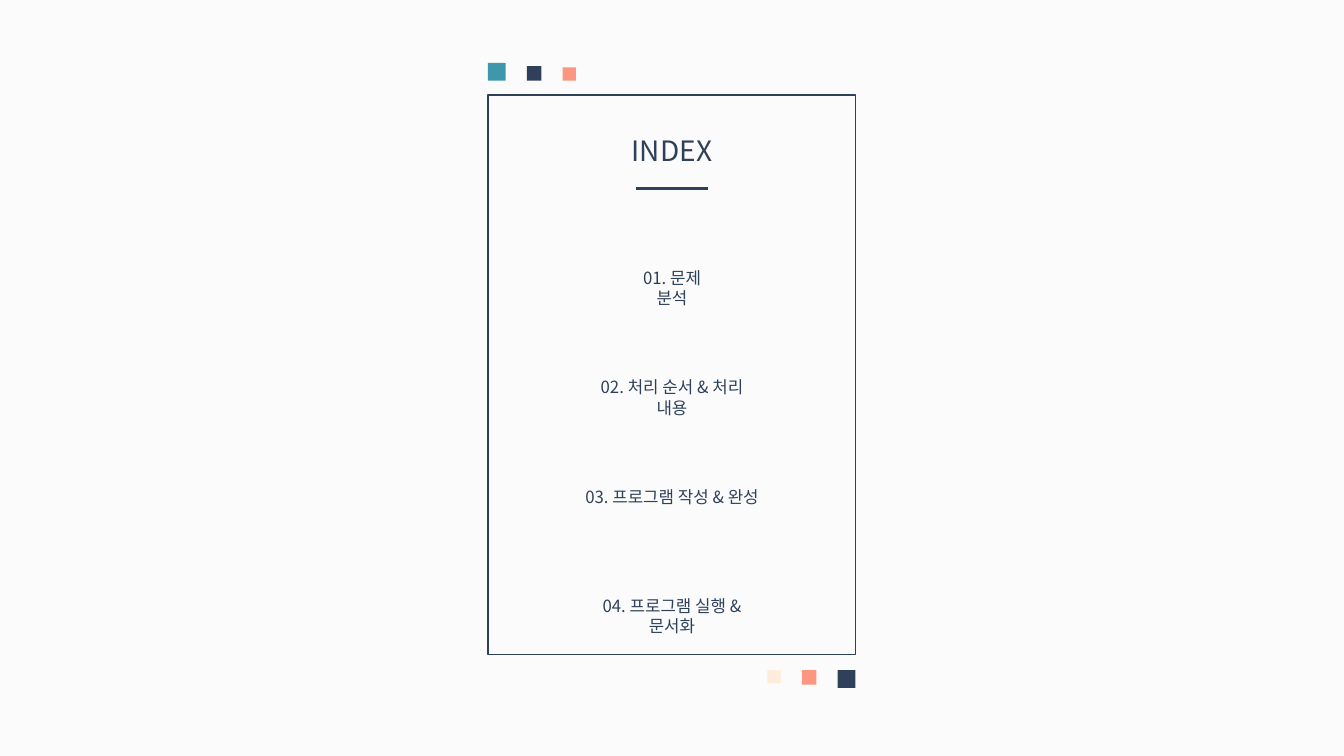
from lxml import etree
from pptx import Presentation
from pptx.dml.color import RGBColor
from pptx.enum.shapes import MSO_CONNECTOR, MSO_SHAPE
from pptx.enum.text import PP_ALIGN
from pptx.oxml.ns import qn
from pptx.util import Inches, Pt

RECT = MSO_SHAPE.RECTANGLE
STRAIGHT = MSO_CONNECTOR.STRAIGHT
CENTER = PP_ALIGN.CENTER

COLORS = {
    "paper": "FBFBFB",
    "navy": "2E405A",
    "teal": "3F97AB",
    "coral": "FC9680",
    "cream": "FFECDB",
}
FONT = "Noto Sans CJK KR"


def rgb(name):
    return RGBColor.from_string(COLORS[name])


class IndexSlide:
    """Draws on a grid of 100 columns by 100 rows over the slide."""

    def __init__(self, prs):
        self.slide = prs.slides.add_slide(prs.slide_layouts[6])
        self.col = prs.slide_width / 100
        self.row = prs.slide_height / 100
        fill = self.slide.background.fill
        fill.solid()
        fill.fore_color.rgb = rgb("paper")

    def box(self, left, top, width, height):
        return (round(left * self.col), round(top * self.row),
                round(width * self.col), round(height * self.row))

    def rect(self, left, top, width, height, fill=None, line=None):
        sp = self.slide.shapes.add_shape(RECT, *self.box(left, top, width, height))
        sp.shadow.inherit = False
        if fill:
            sp.fill.solid()
            sp.fill.fore_color.rgb = rgb(fill)
        else:
            sp.fill.background()
        if line:
            sp.line.color.rgb = rgb(line)
            sp.line.width = Pt(1)
        else:
            sp.line.fill.background()

    def squares(self, edge, baseline, colors, outward):
        """Shrinking squares from a frame corner: outward 1 runs right, -1 left."""
        x = edge
        for size, color in zip(SQUARE_SIZES, colors):
            width = size * self.row / self.col
            left = x if outward > 0 else x - width
            top = baseline - size if outward > 0 else baseline
            self.rect(left, top, width, size, fill=color)
            x += outward * (width + SQUARE_GAP)

    def rule(self, left, right, y):
        x1, y1, x2, _ = self.box(left, y, right, 0)
        ln = self.slide.shapes.add_connector(STRAIGHT, x1, y1, x2, y1)
        ln.line.color.rgb = rgb("navy")
        ln.line.width = Pt(2.25)
        etree.SubElement(ln._element.spPr, qn("a:effectLst"))

    def text(self, words, top, width, height, size, wrap=True):
        """Text centred on the slide's middle column."""
        sp = self.slide.shapes.add_textbox(
            *self.box(50 - width / 2, top, width, height))
        tf = sp.text_frame
        tf.word_wrap = wrap
        p = tf.paragraphs[0]
        p.alignment = CENTER
        r = p.add_run()
        r.text = words
        r.font.size = Pt(size)
        r.font.name = FONT
        r.font.color.rgb = rgb("navy")
        ea = etree.SubElement(r._r.get_or_add_rPr(), qn("a:ea"))
        ea.set("typeface", FONT)


FRAME_LEFT, FRAME_TOP, FRAME_WIDTH, FRAME_HEIGHT = 36.3, 12.55, 27.35, 74
SQUARE_SIZES = (2.35, 1.93, 1.75)
SQUARE_GAP = 1.58
ITEMS = (
    ("01. 문제 분석", 8),
    ("02. 처리 순서 & 처리 내용", 14.6),
    ("03. 프로그램 작성 & 완성", 14.6),
    ("04. 프로그램 실행 & 문서화", 14.6),
)
ITEM_TOP, ITEM_STEP = 34.8, 14.44


def main():
    prs = Presentation()
    prs.slide_width, prs.slide_height = Inches(13.33), Inches(7.5)
    s = IndexSlide(prs)

    s.squares(FRAME_LEFT, 10.67, ("teal", "navy", "coral"), 1)
    s.squares(FRAME_LEFT + FRAME_WIDTH, 88.65, ("navy", "coral", "cream"), -1)

    s.text("INDEX", 17.07, 7.6, 5.87, 20, wrap=False)
    s.rule(47.35, 52.65, 24.9)
    for i, (words, width) in enumerate(ITEMS):
        s.text(words, ITEM_TOP + i * ITEM_STEP, width, 4, 12)

    s.rect(FRAME_LEFT, FRAME_TOP, FRAME_WIDTH, FRAME_HEIGHT, line="navy")
    prs.save("out.pptx")


if __name__ == "__main__":
    main()
